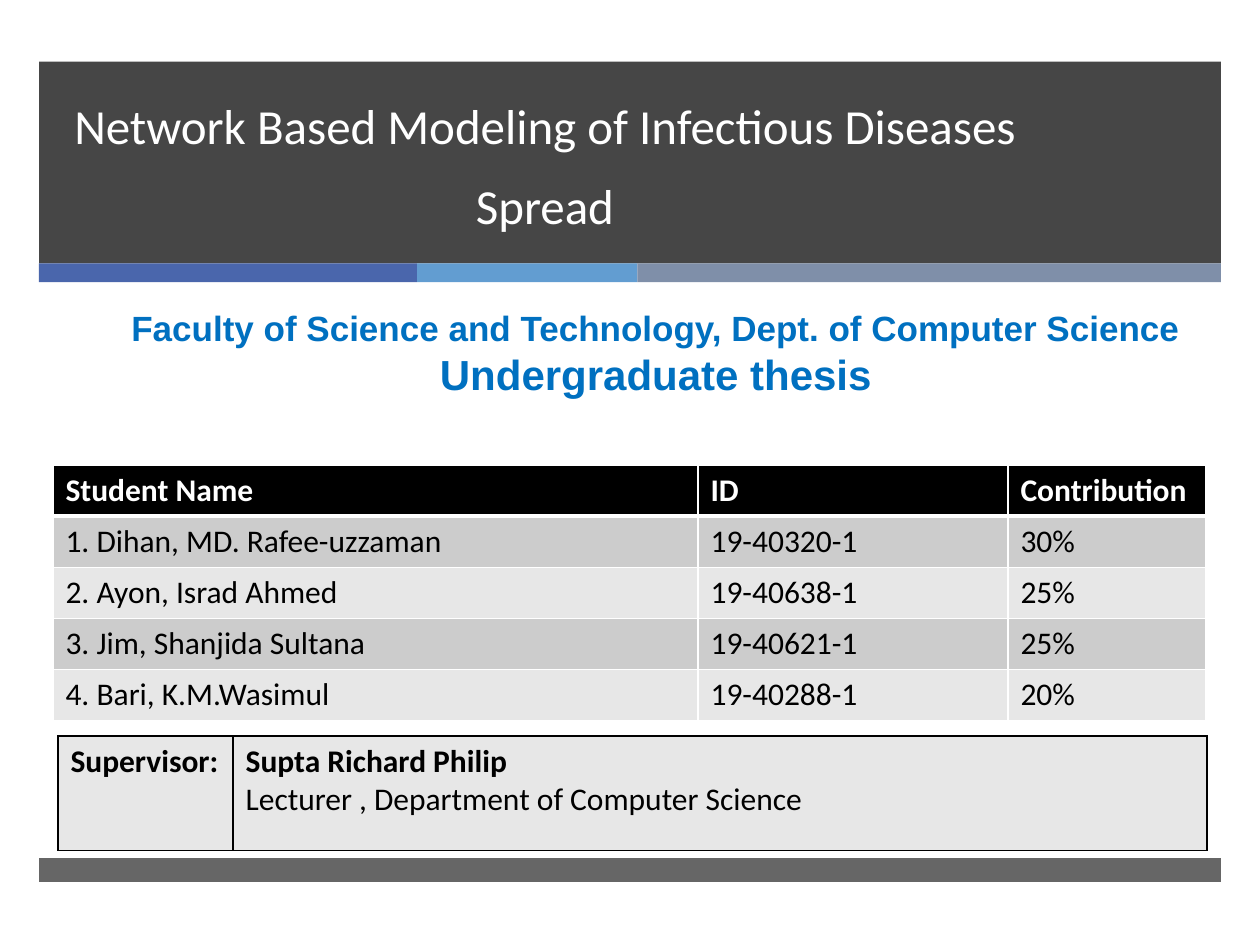
import dataclasses
import pptx
import pptx.dml.color
import pptx.enum.shapes
import pptx.enum.text
import pptx.oxml
import pptx.oxml.ns
import pptx.util


@dataclasses.dataclass(frozen=True)
class Theme:
    heading_font: str = "Calibri"
    faculty_font: str = "Arial"
    title_size: int = 28
    title_spacing: int = 46
    faculty_size: int = 20
    thesis_size: int = 24
    table_size: int = 18
    thin: int = 1
    thick: int = 3
    white: str = "FFFFFF"
    black: str = "000000"
    charcoal: str = "262626"
    faculty_blue: str = "0070C0"
    stripes: tuple = ("4A66AC", "629DD1", "7F8FA9")
    bands: tuple = ("E7E7E7", "CCCCCC")


class SlideBuilder:
    """Draws themed elements on one slide, with lengths in columns and rows of a 100 by 75 grid."""

    def __init__(self, presentation, theme):
        self.theme = theme
        self.column = presentation.slide_width / 100
        self.row = presentation.slide_height / 75
        self.slide = presentation.slides.add_slide(presentation.slide_layouts[6])

    def place(self, left, top, width, height):
        units = (self.column, self.row, self.column, self.row)
        return [round(length * unit) for length, unit in zip((left, top, width, height), units)]

    def color(self, value):
        return pptx.dml.color.RGBColor.from_string(value)

    def style(self, paragraph, font, size, color, bold=False):
        for run in paragraph.runs:
            run.font.name = font
            run.font.size = pptx.util.Pt(size)
            run.font.bold = bold
            run.font.color.rgb = self.color(color)

    def bar(self, box, color, opacity=100):
        kind = pptx.enum.shapes.MSO_SHAPE.RECTANGLE
        shape = self.slide.shapes.add_shape(kind, *self.place(*box))
        shape.shadow.inherit = False
        shape.line.fill.background()
        shape.fill.solid()
        shape.fill.fore_color.rgb = self.color(color)
        if opacity < 100:
            fill_color = shape.fill._xPr.find(".//" + pptx.oxml.ns.qn("a:srgbClr"))
            alpha = pptx.oxml.parse_xml(
                f'<a:alpha {pptx.oxml.ns.nsdecls("a")} val="{opacity * 1000}"/>')
            fill_color.append(alpha)

    def text(self, box, lines, font, sizes, color, bold=False, spacing=None, bottom=False):
        text_frame = self.slide.shapes.add_textbox(*self.place(*box)).text_frame
        text_frame.word_wrap = True
        anchors = pptx.enum.text.MSO_ANCHOR
        text_frame.vertical_anchor = anchors.BOTTOM if bottom else anchors.TOP
        text_frame.text = "\n".join(lines)
        for paragraph, size in zip(text_frame.paragraphs, sizes):
            paragraph.alignment = pptx.enum.text.PP_ALIGN.CENTER
            if spacing:
                paragraph.line_spacing = pptx.util.Pt(spacing)
            self.style(paragraph, font, size, color, bold)

    def border(self, cell, side, color, width):
        line = pptx.oxml.parse_xml(
            f'<a:ln{side} {pptx.oxml.ns.nsdecls("a")} w="{pptx.util.Pt(width)}">'
            f'<a:solidFill><a:srgbClr val="{color}"/></a:solidFill></a:ln{side}>')
        cell._tc.get_or_add_tcPr().append(line)

    def table(self, left, top, widths, row_height, rows, border_color, header=False):
        theme = self.theme
        box = self.place(left, top, sum(widths), row_height * len(rows))
        table = self.slide.shapes.add_table(len(rows), len(widths), *box).table
        for column, width in zip(table.columns, widths):
            column.width = round(width * self.column)
        for row_index, values in enumerate(rows):
            table.rows[row_index].height = round(row_height * self.row)
            is_header = header and row_index == 0
            for column_index, value in enumerate(values):
                cell = table.cell(row_index, column_index)
                for side in "LRTB":
                    under_header = header and (row_index, side) in ((0, "B"), (1, "T"))
                    width = theme.thick if under_header else theme.thin
                    self.border(cell, side, border_color, width)
                cell.fill.solid()
                fill = theme.black if is_header else theme.bands[row_index % 2]
                cell.fill.fore_color.rgb = self.color(fill)
                cell.text_frame.text = value
                for line_index, paragraph in enumerate(cell.text_frame.paragraphs):
                    bold = is_header or (not header and line_index == 0)
                    color = theme.white if is_header else theme.black
                    self.style(paragraph, theme.heading_font, theme.table_size, color, bold)


def main():
    theme = Theme()
    presentation = pptx.Presentation()
    presentation.slide_width = pptx.util.Inches(10)
    presentation.slide_height = pptx.util.Inches(7.5)
    builder = SlideBuilder(presentation, theme)

    margin, content_width = 3.1, 93.8
    builder.bar((margin, 4.9, content_width, 16), theme.charcoal, 85)
    stripe_left = margin
    for width, color in zip((30, 17.5, 46.3), theme.stripes):
        builder.bar((stripe_left, 20.9, width, 1.5), color)
        stripe_left += width
    builder.bar((margin, 68.1, content_width, 1.9), theme.charcoal, 70)

    builder.text((4.6, 4.2, 77.3, 14.9),
                 ["Network Based Modeling of Infectious Diseases Spread"],
                 theme.heading_font, [theme.title_size], theme.white,
                 spacing=theme.title_spacing, bottom=True)
    builder.text((2.7, 23.8, 98.7, 8.4),
                 ["Faculty of Science and Technology, Dept. of Computer Science",
                  "Undergraduate thesis"],
                 theme.faculty_font, [theme.faculty_size, theme.thesis_size],
                 theme.faculty_blue, bold=True)

    students = [
        ("Student Name", "ID", "Contribution"),
        ("1. Dihan, MD. Rafee-uzzaman", "19-40320-1", "30%"),
        ("2. Ayon, Israd Ahmed", "19-40638-1", "25%"),
        ("3. Jim, Shanjida Sultana", "19-40621-1", "25%"),
        ("4. Bari, K.M.Wasimul", "19-40288-1", "20%"),
    ]
    builder.table(4.2, 36.9, (51.2, 24.6, 15.7), 4.06, students, theme.white, header=True)
    supervisor = [("Supervisor:",
                   "Supta Richard Philip\nLecturer , Department of Computer Science")]
    builder.table(4.6, 58.4, (13.9, 77.3), 9.1, supervisor, theme.black)
    presentation.save("out.pptx")


if __name__ == "__main__":
    main()
